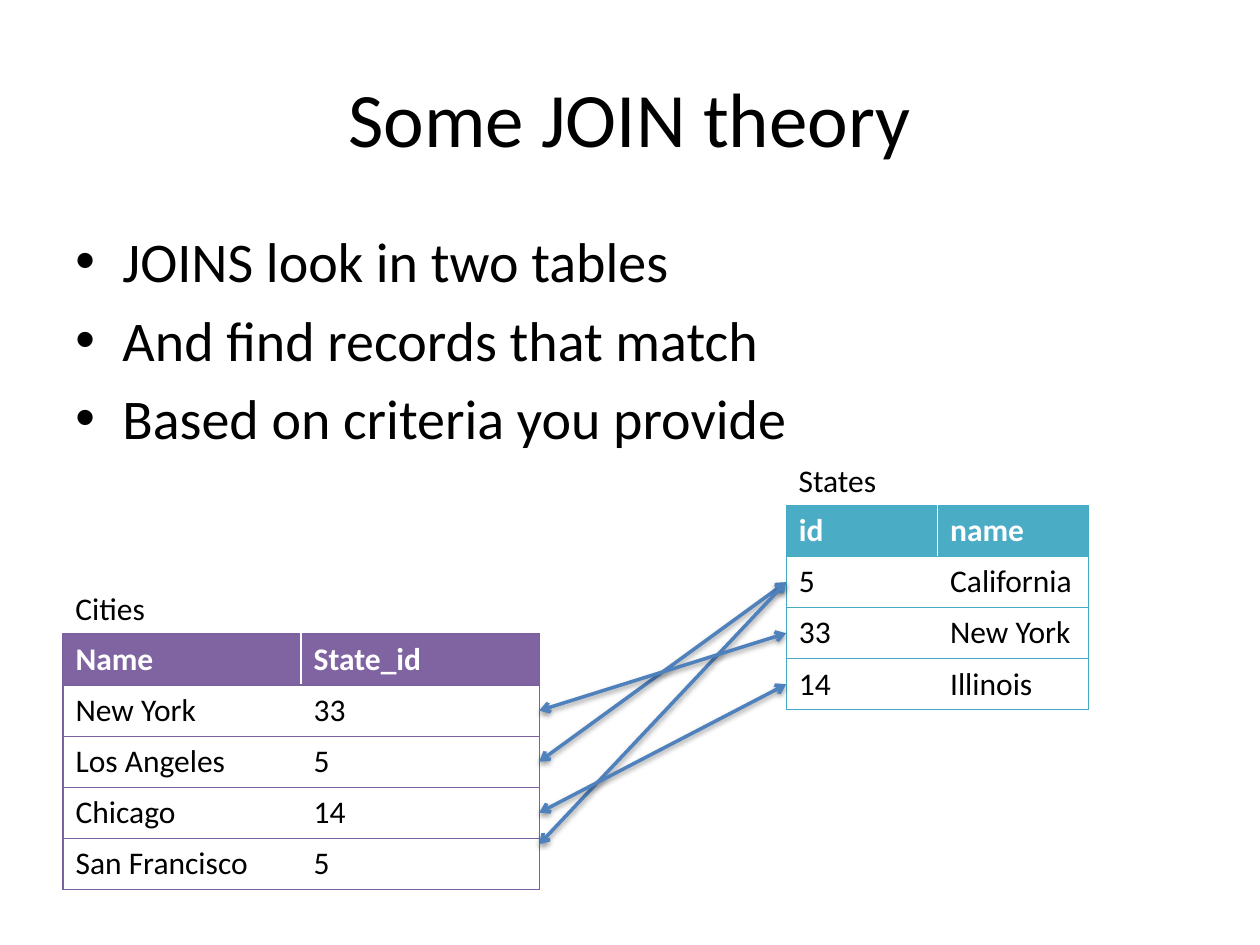
from lxml.etree import SubElement
from pptx import Presentation
from pptx.dml.color import RGBColor
from pptx.enum.shapes import MSO_CONNECTOR
from pptx.enum.text import MSO_ANCHOR, PP_ALIGN
from pptx.oxml import parse_xml
from pptx.oxml.ns import nsdecls, qn
from pptx.util import Cm, Pt

BLACK = RGBColor(0x00, 0x00, 0x00)
WHITE = RGBColor(0xFF, 0xFF, 0xFF)
TEAL = RGBColor(0x4B, 0xAC, 0xC6)
TEAL_EDGE = RGBColor(0x46, 0xAA, 0xC5)
PURPLE = RGBColor(0x80, 0x64, 0xA2)
PURPLE_EDGE = RGBColor(0x7D, 0x60, 0xA0)
BLUE = RGBColor(0x4F, 0x81, 0xBD)

LEFT, WIDTH = 1.27, 22.86
ROW = 1.03
CITIES_TOP, CITIES_COLUMN = 12.78, 4.8
STATES_LEFT, STATES_TOP, STATES_COLUMN = 15.85, 10.19, 3.05


def write(frame, text, size=18, color=BLACK, bold=False, align=PP_ALIGN.LEFT,
          anchor=MSO_ANCHOR.TOP, bullet=None, gap=0):
    frame.word_wrap = True
    frame.vertical_anchor = anchor
    for index, line in enumerate(text.split("\n")):
        para = frame.add_paragraph() if index else frame.paragraphs[0]
        para.alignment = align
        para.space_before = Pt(gap if index else 0)
        if bullet:
            properties = para._p.get_or_add_pPr()
            properties.set("marL", str(Cm(0.95)))
            properties.set("indent", str(-Cm(0.95)))
            SubElement(properties, qn("a:buFont"), typeface="Arial")
            SubElement(properties, qn("a:buChar"), char=bullet)
        span = para.add_run()
        span.text = line
        span.font.name = "Calibri"
        span.font.size = Pt(size)
        span.font.bold = bold
        span.font.color.rgb = color


deck = Presentation()
deck.slide_width, deck.slide_height = Cm(25.4), Cm(19.05)
page = deck.slides.add_slide(deck.slide_layouts[6])

title = page.shapes.add_textbox(Cm(LEFT), Cm(0.76), Cm(WIDTH), Cm(3.18))
write(title.text_frame, "Some JOIN theory", size=44, align=PP_ALIGN.CENTER,
      anchor=MSO_ANCHOR.MIDDLE)

body = page.shapes.add_textbox(Cm(LEFT), Cm(4.45), Cm(WIDTH), Cm(12.57))
write(body.text_frame,
      "JOINS look in two tables\nAnd find records that match\nBased on criteria you provide",
      size=32, bullet="•", gap=6.4)

states = [("id", "name"), ("5", "California"), ("33", "New York"), ("14", "Illinois")]
cities = [("Name", "State_id"), ("New York", "33"), ("Los Angeles", "5"),
          ("Chicago", "14"), ("San Francisco", "5")]

for rows, left, top, column_width, fill, edge in [
    (states, STATES_LEFT, STATES_TOP, STATES_COLUMN, TEAL, TEAL_EDGE),
    (cities, LEFT, CITIES_TOP, CITIES_COLUMN, PURPLE, PURPLE_EDGE),
]:
    table = page.shapes.add_table(len(rows), 2, Cm(left), Cm(top),
                                  Cm(2 * column_width), Cm(ROW * len(rows))).table
    for column in table.columns:
        column.width = Cm(column_width)
    for row_index, row in enumerate(rows):
        table.rows[row_index].height = Cm(ROW)
        header = row_index == 0
        for column_index, text in enumerate(row):
            cell = table.cell(row_index, column_index)
            write(cell.text_frame, text, color=WHITE if header else BLACK, bold=header)
            cell.fill.solid()
            cell.fill.fore_color.rgb = fill if header else WHITE
            sides = ["lnR" if column_index else "lnL", "lnT", "lnB"]
            for position, side in enumerate(sides):
                cell._tc.get_or_add_tcPr().insert(position, parse_xml(
                    f'<a:{side} {nsdecls("a")} w="{Pt(0.75)}"><a:solidFill>'
                    f'<a:srgbClr val="{edge}"/></a:solidFill></a:{side}>'))

cities_right = LEFT + 2 * CITIES_COLUMN
california, new_york, illinois = [STATES_TOP + ROW * (row + 0.5) for row in (1, 2, 3)]
for state_y, city_y in [
    (california, CITIES_TOP + ROW * 2.5),
    (california, 17.02),
    (new_york, CITIES_TOP + ROW * 1.5),
    (illinois, CITIES_TOP + ROW * 3.5),
]:
    arrow = page.shapes.add_connector(MSO_CONNECTOR.STRAIGHT, Cm(STATES_LEFT), Cm(state_y),
                                      Cm(cities_right), Cm(city_y))
    arrow.line.color.rgb = BLUE
    arrow.line.width = Pt(2)
    outline = arrow.line._get_or_add_ln()
    SubElement(outline, qn("a:headEnd"), type="arrow")
    SubElement(outline, qn("a:tailEnd"), type="arrow")
    arrow._element.spPr.append(parse_xml(
        f'<a:effectLst {nsdecls("a")}><a:outerShdw blurRad="{Pt(3.1)}" dist="{Pt(1.6)}" '
        f'dir="5400000" rotWithShape="0"><a:srgbClr val="{BLACK}"><a:alpha val="38000"/>'
        '</a:srgbClr></a:outerShdw></a:effectLst>'))

for text, left, top, width in [
    ("Cities", LEFT, CITIES_TOP, 7.34),
    ("States", STATES_LEFT, STATES_TOP, 4.32),
]:
    label = page.shapes.add_textbox(Cm(left), Cm(top - ROW), Cm(width), Cm(ROW))
    write(label.text_frame, text)

deck.save("out.pptx")
